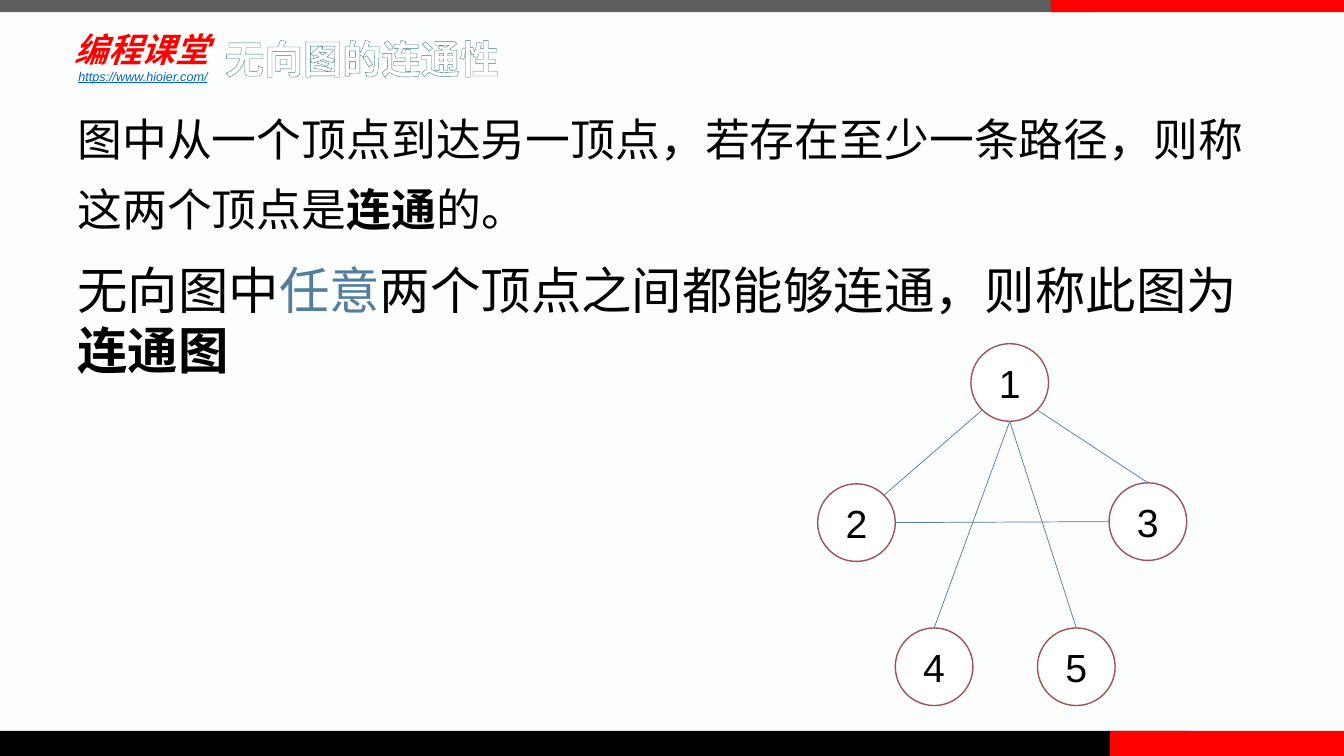
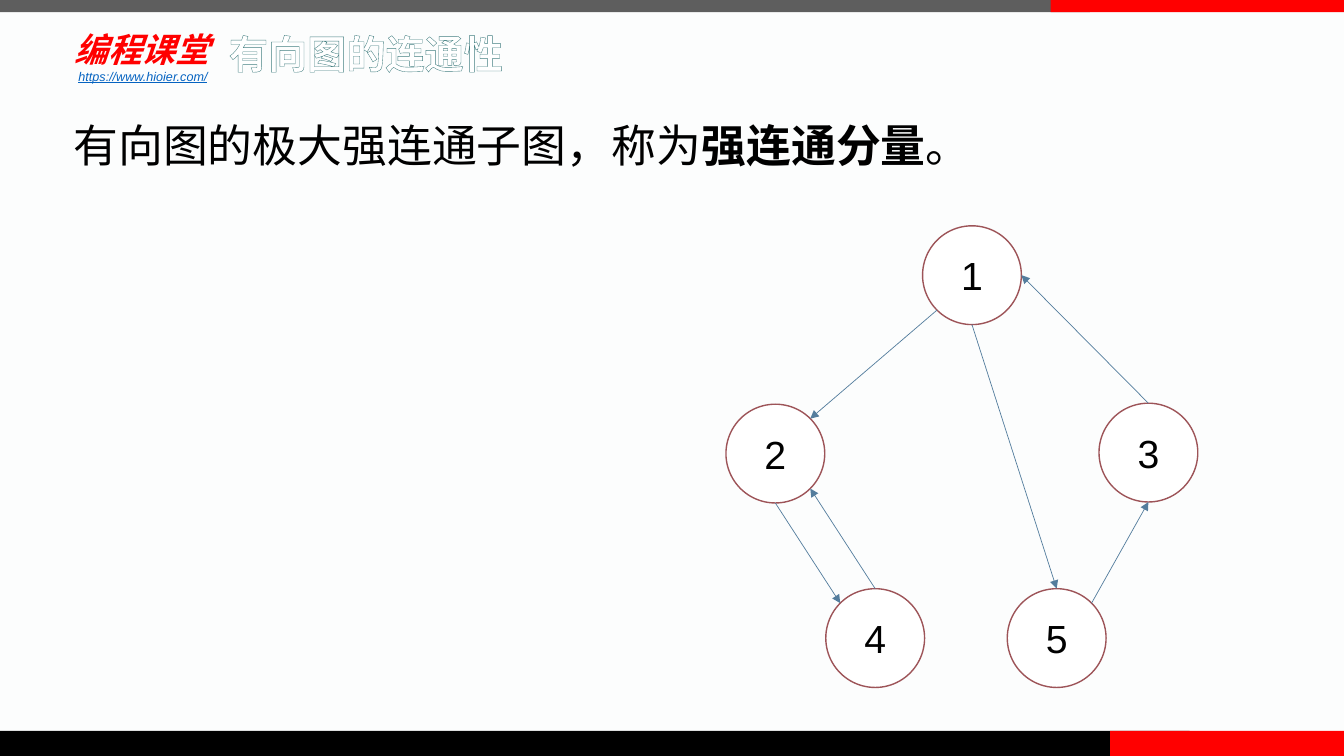
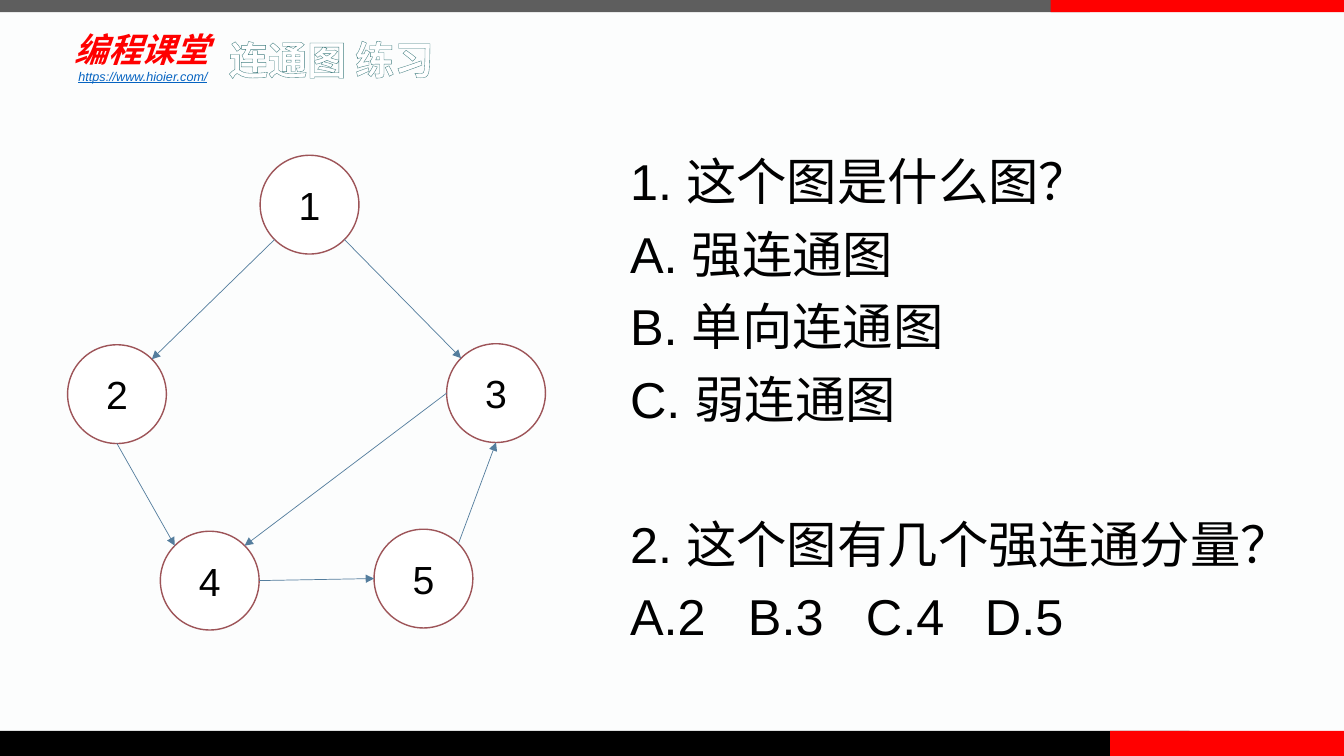
from math import sqrt
from lxml.etree import SubElement as Sub
from pptx import Presentation
from pptx.dml.color import RGBColor
from pptx.enum.shapes import MSO_CONNECTOR as Conn, MSO_SHAPE as Geo
from pptx.enum.text import MSO_ANCHOR as Anchor, PP_ALIGN as Align
from pptx.oxml import parse_xml
from pptx.oxml.ns import nsdecls, qn
from pptx.util import Inches, Pt

WIDE, HIGH = 13.33, 7.5
BACK, WHITE, BLACK, RED = "FCFDFD", "FFFFFF", "000000", "FF0000"
GREY, LINK, TEAL, BLUE, WINE = "5E5E5E", "0563C1", "437F81", "547D9D", "9D5458"

BANDS = [
    (0, 0, 10.81, 0.12, GREY),
    (0, 7.25, 11.8, 0.25, BLACK),
    (11.01, 7.25, WIDE - 11.01, 0.25, RED),
    (10.42, 0, WIDE - 10.42, 0.12, RED),
]
BRAND = [[("编程课堂", dict(face="Lato", hue=RED, bold=True, slant=True))]]
SITE = [[("https://www.hioier.com/", dict(hue=LINK, slant=True, under=True))]]

BOLD = dict(bold=True)
SLIDES = [
    dict(
        title=("无向图的连通性", (2.15, 0.18, 2.97, 0.67)),
        texts=[
            dict(box=(0.67, 0.9, 11.85, 1.5), size=32, lead=1.3, paras=[[
                ("图中从一个顶点到达另一顶点，若存在至少一条路径，则称这两个顶点是", {}),
                ("连通", BOLD), ("的。", {})]]),
            dict(box=(0.67, 2.52, 12.1, 1.31), size=36, paras=[[
                ("无向图中", {}), ("任意", dict(hue=BLUE)),
                ("两个顶点之间都能够连通，则称此图为", {}), ("连通图", BOLD)]]),
        ],
        size=0.77, arrow=False,
        nodes={1: (9.63, 3.41), 2: (8.11, 4.8), 3: (11, 4.79),
               4: (8.88, 6.23), 5: (10.29, 6.23)},
        edges=[(1, "sw", 2, "ne"), (1, "s", 5, "n"), (1, "se", 3, "n"),
               (4, "n", 1, "s"), (3, "w", 2, "e")],
    ),
    dict(
        title=("有向图的连通性", (2.19, 0.13, 4.61, 0.67)),
        texts=[
            dict(box=(0.63, 0.96, 11.71, 0.8), size=32, lead=1.3, paras=[[
                ("有向图的极大强连通子图，称为", {}),
                ("强连通分量", BOLD), ("。", {})]]),
        ],
        size=0.98, arrow=True,
        nodes={1: (9.15, 2.24), 2: (7.2, 4.01), 3: (10.9, 4),
               4: (8.19, 5.84), 5: (9.99, 5.84)},
        edges=[(1, "s", 5, "n"), (5, "ne", 3, "s"), (4, "n", 2, "se"),
               (1, "sw", 2, "ne"), (3, "n", 1, "e"), (2, "s", 4, "nw")],
    ),
    dict(
        title=("连通图 练习", (2.19, 0.19, 2.75, 0.67)),
        texts=[
            dict(box=(6.15, 1.32, 6.29, 5.19), size=36, lead=1.2,
                 gaps={4: 52}, tabs=(1.17, 2.34, 3.52), paras=[
                     [(line, {})] for line in (
                         "1. 这个图是什么图？", "A. 强连通图", "B. 单向连通图",
                         "C. 弱连通图", "2. 这个图有几个强连通分量？",
                         "A.2\tB.3\tC.4\tD.5")]),
        ],
        size=0.98, arrow=True,
        nodes={1: (2.58, 1.54), 2: (0.67, 3.42), 3: (4.43, 3.41),
               4: (1.59, 5.27), 5: (3.71, 5.25)},
        edges=[(1, "sw", 2, "ne"), (1, "se", 3, "nw"), (3, "w", 4, "ne"),
               (2, "s", 4, "nw"), (5, "ne", 3, "s"), (4, "e", 5, "w")],
    ),
]


def rgb(hue):
    return RGBColor.from_string(hue)


def inch(nums):
    return [Inches(n) for n in nums]


def add_run(para, text, size, face="Arial", hue=BLACK, bold=False,
            slant=False, under=False, edge=None):
    run = para.add_run()
    run.text = text
    font = run.font
    font.size, font.name = Pt(size), face
    font.bold, font.italic, font.underline = bold, slant, under
    font.color.rgb = rgb(hue)
    if edge:
        run._r.get_or_add_rPr().insert(0, parse_xml(
            f'<a:ln {nsdecls("a")} w="{Pt(0.52)}"><a:solidFill>'
            f'<a:srgbClr val="{edge}"/></a:solidFill></a:ln>'))


def add_text(slide, box, paras, size, lead=None, gaps={}, tabs=(),
             anchor=Anchor.TOP, pad=(0.1, 0.05)):
    frame = slide.shapes.add_textbox(*inch(box)).text_frame
    frame.word_wrap, frame.vertical_anchor = True, anchor
    frame.margin_left = frame.margin_right = Inches(pad[0])
    frame.margin_top = frame.margin_bottom = Inches(pad[1])
    for i, runs in enumerate(paras):
        para = frame.add_paragraph() if i else frame.paragraphs[0]
        if lead:
            para.line_spacing = lead
        if i in gaps:
            para.space_before = Pt(gaps[i])
        if any("\t" in text for text, _ in runs):
            stops = Sub(para._p.get_or_add_pPr(), qn("a:tabLst"))
            for stop in tabs:
                Sub(stops, qn("a:tab"), pos=str(Inches(stop)), algn="l")
        for text, style in runs:
            add_run(para, text, size, **style)


def add_shape(shapes, kind, box, fill, edge=None):
    shape = shapes.add_shape(kind, *inch(box))
    shape.shadow.inherit = False
    shape.fill.solid()
    shape.fill.fore_color.rgb = rgb(fill)
    if edge:
        shape.line.color.rgb = rgb(edge)
        shape.line.width = Pt(1)
    else:
        shape.line.fill.background()
    return shape


def add_node(shapes, label, spot, size):
    frame = add_shape(shapes, Geo.OVAL, (*spot, size, size), WHITE, WINE).text_frame
    frame.vertical_anchor = Anchor.MIDDLE
    para = frame.paragraphs[0]
    para.alignment = Align.CENTER
    add_run(para, str(label), 28)


def port(spot, size, side):
    dx = ("e" in side) - ("w" in side)
    dy = ("s" in side) - ("n" in side)
    reach = size / 2 / sqrt(dx * dx + dy * dy)
    return spot[0] + size / 2 + dx * reach, spot[1] + size / 2 + dy * reach


def add_edge(shapes, start, end, arrow):
    link = shapes.add_connector(Conn.STRAIGHT, *inch(start + end))
    link.line.color.rgb = rgb(BLUE)
    link.line.width = Pt(0.5)
    if arrow:
        Sub(link.line._get_or_add_ln(), qn("a:tailEnd"), type="triangle")
    Sub(link._element.spPr, qn("a:effectLst"))


def add_graph(slide, nodes, edges, size, arrow):
    shapes = slide.shapes.add_group_shape().shapes
    for label, spot in nodes.items():
        add_node(shapes, label, spot, size)
    for a, out, b, into in edges:
        add_edge(shapes, port(nodes[a], size, out), port(nodes[b], size, into), arrow)


def add_frame(slide, title, box):
    for *band, fill in BANDS:
        add_shape(slide.shapes, Geo.RECTANGLE, band, fill)
    add_text(slide, (0.68, 0.23, 1.85, 0.52), BRAND, 24,
             anchor=Anchor.MIDDLE, pad=(0.06, 0.06))
    add_text(slide, (0.68, 0.63, 6.67, 0.25), SITE, 9)
    style = dict(hue=WHITE, bold=True, edge=TEAL)
    add_text(slide, box, [[(title, style)]], 28,
             anchor=Anchor.BOTTOM, pad=(0.08, 0.04))


def main():
    deck = Presentation()
    deck.slide_width, deck.slide_height = inch((WIDE, HIGH))
    back = deck.slide_master.background.fill
    back.solid()
    back.fore_color.rgb = rgb(BACK)
    for page in SLIDES:
        slide = deck.slides.add_slide(deck.slide_layouts[6])
        add_frame(slide, *page["title"])
        for text in page["texts"]:
            add_text(slide, **text)
        add_graph(slide, page["nodes"], page["edges"], page["size"], page["arrow"])
    deck.save("out.pptx")


if __name__ == "__main__":
    main()
